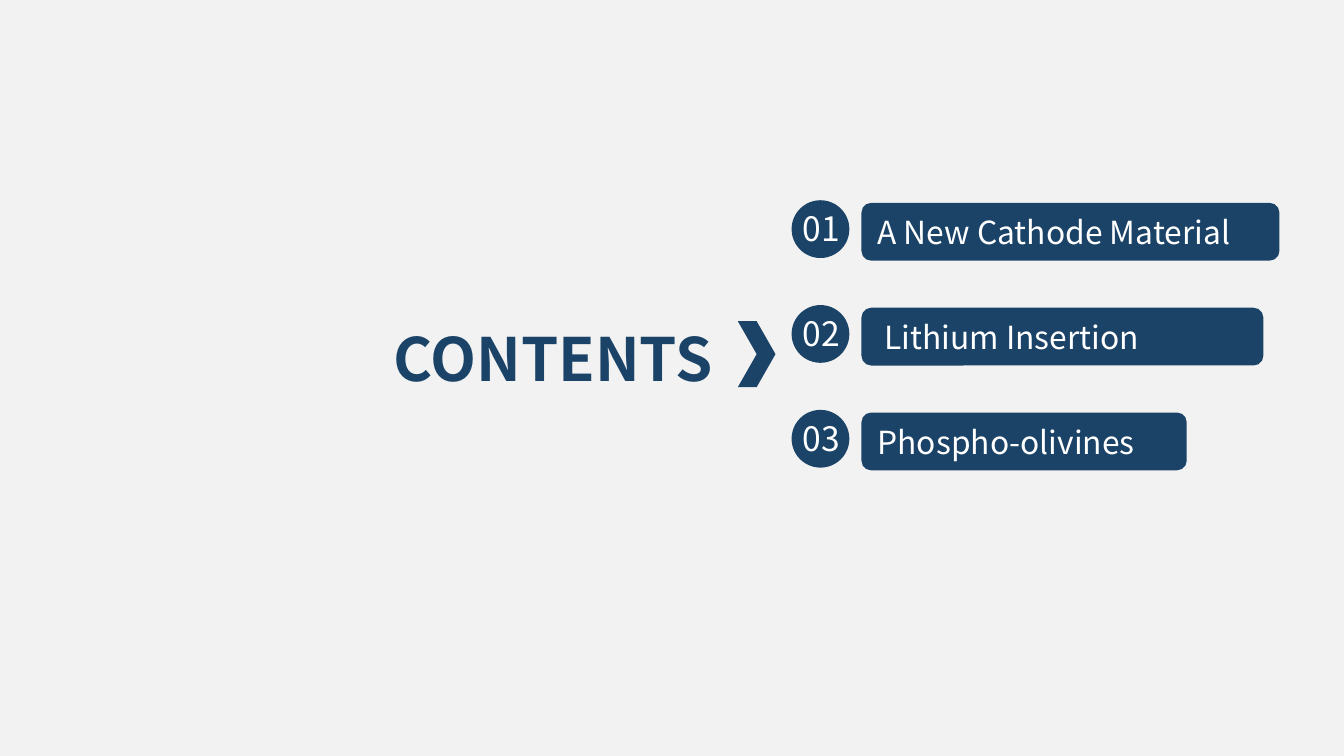
import pptx
import pptx.dml.color
import pptx.enum.shapes
import pptx.enum.text
import pptx.util

Inches = pptx.util.Inches
SHAPE = pptx.enum.shapes.MSO_SHAPE
ALIGN = pptx.enum.text.PP_ALIGN

NAVY = pptx.dml.color.RGBColor(0x1B, 0x43, 0x67)
WHITE = pptx.dml.color.RGBColor(0xFF, 0xFF, 0xFF)
PALE_GREY = pptx.dml.color.RGBColor(0xF2, 0xF2, 0xF2)
FONT = "Noto Sans CJK SC"

SLIDE_WIDTH = 10
FIRST_TOP = 1.49
ROW_PITCH = 0.78
BADGE_SIZE = 0.43

# Title, bar width, extra text indent
CHAPTERS = [
    ("A New Cathode Material", 3.11, 0),
    ("Lithium Insertion", 2.99, 0.05),
    ("Phospho-olivines", 2.42, 0),
]


def write_text(holder, text, size, color=WHITE, bold=False,
               align=ALIGN.LEFT, indent=0):
    frame = holder.text_frame
    frame.word_wrap = True
    frame.vertical_anchor = pptx.enum.text.MSO_ANCHOR.MIDDLE
    frame.margin_left = Inches(0.1 + indent)
    paragraph = frame.paragraphs[0]
    paragraph.text = text
    paragraph.alignment = align
    font = paragraph.runs[0].font
    font.name = FONT
    font.size = pptx.util.Pt(size)
    font.bold = bold
    font.color.rgb = color


def add_filled(shapes, preset, left, top, width, height):
    filled = shapes.add_shape(preset, Inches(left), Inches(top),
                              Inches(width), Inches(height))
    filled.shadow.inherit = False
    filled.fill.solid()
    filled.fill.fore_color.rgb = NAVY
    filled.line.fill.background()
    return filled


def add_label(shapes, left, top, width, height, text, **text_format):
    label = shapes.add_textbox(Inches(left), Inches(top),
                               Inches(width), Inches(height))
    write_text(label, text, **text_format)


def add_badge(shapes, top, number):
    badge = shapes.add_group_shape()
    add_filled(badge.shapes, SHAPE.OVAL, 5.89, top, BADGE_SIZE, BADGE_SIZE)
    add_label(badge.shapes, 5.85, top + 0.01, 0.52, 0.4, f"{number:02d}",
              size=18, align=ALIGN.CENTER)


def add_chapter(shapes, number, title, width, indent):
    top = FIRST_TOP + (number - 1) * ROW_PITCH
    bar = add_filled(shapes, SHAPE.ROUNDED_RECTANGLE, 6.41, top + 0.02,
                     width, BADGE_SIZE)
    write_text(bar, title, size=17, indent=indent)
    add_badge(shapes, top, number)


def main():
    deck = pptx.Presentation()
    deck.slide_width = Inches(SLIDE_WIDTH)
    deck.slide_height = Inches(SLIDE_WIDTH * 9 / 16)
    slide = deck.slides.add_slide(deck.slide_layouts[6])
    slide.background.fill.solid()
    slide.background.fill.fore_color.rgb = PALE_GREY

    # Heading with its pointer
    add_label(slide.shapes, 2.83, 2.34, 3.1, 0.64, "CONTENTS",
              size=32, color=NAVY, bold=True)
    add_filled(slide.shapes, SHAPE.CHEVRON, 5.49, 2.39, 0.28, 0.49)

    # Numbered chapters
    for number, (title, width, indent) in enumerate(CHAPTERS, start=1):
        add_chapter(slide.shapes, number, title, width, indent)

    deck.save("out.pptx")


if __name__ == "__main__":
    main()
